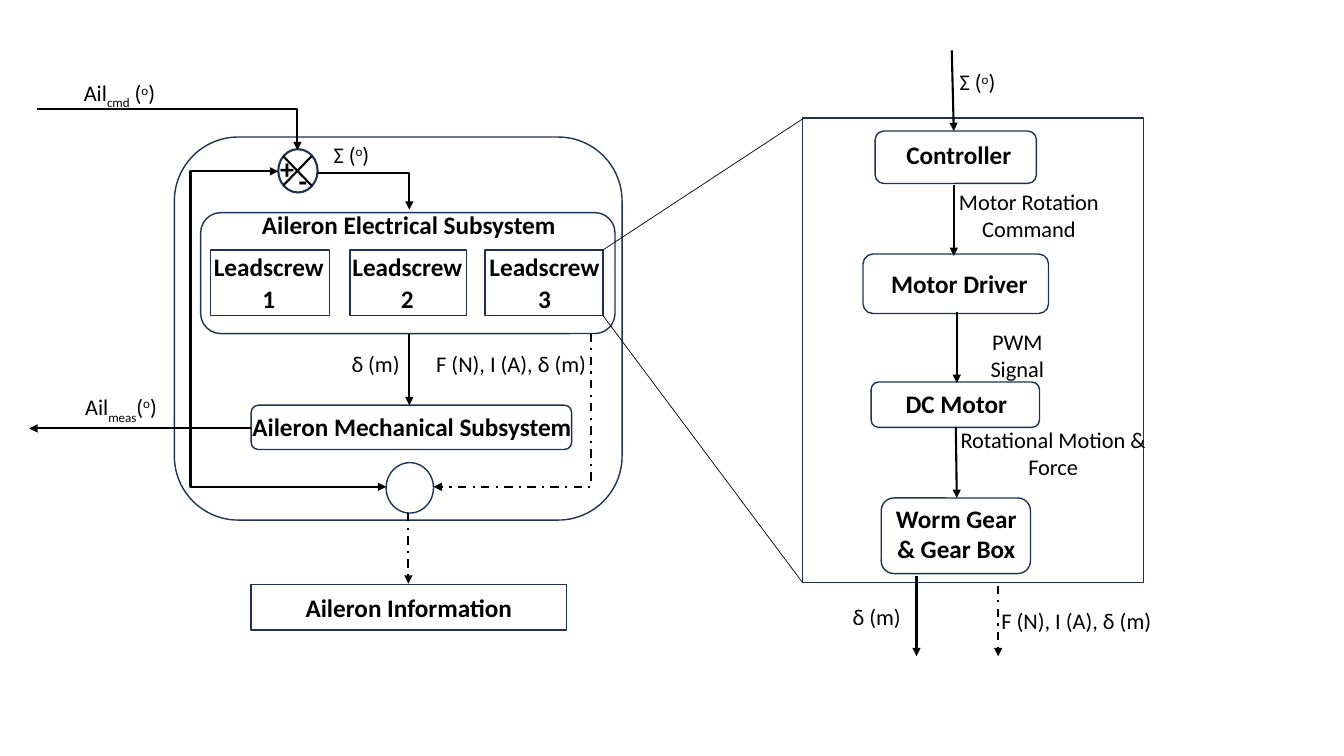
from lxml.etree import SubElement
from pptx import Presentation
from pptx.dml.color import RGBColor
from pptx.enum.dml import MSO_LINE_DASH_STYLE as Dash
from pptx.enum.shapes import MSO_CONNECTOR_TYPE as Link, MSO_SHAPE as Kind
from pptx.enum.text import MSO_ANCHOR as Anchor, PP_ALIGN as Align
from pptx.oxml.ns import qn
from pptx.util import Inches, Pt

COLORS = {"ink": "000000", "border": "1E3256", "paper": "FFFFFF"}
BODY = {"size": Pt(16), "bold": False, "name": "Calibri"}
TITLE = {"size": Pt(18), "bold": True, "name": "Calibri"}
SIGN = {"size": Pt(20), "bold": True, "name": "Calibri"}


class Diagram:
    """Draws boxes, labels and arrows of a block diagram on one slide."""

    def __init__(self, slide, colors):
        self.slide = slide
        self.colors = {name: RGBColor.from_string(value) for name, value in colors.items()}

    def box(self, kind, left, top, width, height, weight=1, fill=None):
        shape = self.slide.shapes.add_shape(kind, *map(Inches, (left, top, width, height)))
        shape.shadow.inherit = False
        if fill:
            shape.fill.solid()
            shape.fill.fore_color.rgb = self.colors[fill]
        else:
            shape.fill.background()
        shape.line.color.rgb = self.colors["border"]
        shape.line.width = Pt(weight)

    def label(self, text, left, top, width, height, style=BODY, align=Align.CENTER,
              spacing=1.0, frame_format=None):
        shape = self.slide.shapes.add_textbox(*map(Inches, (left, top, width, height)))
        frame = shape.text_frame
        for name, value in {"word_wrap": True, **(frame_format or {})}.items():
            setattr(frame, name, value)
        paragraph = frame.paragraphs[0]
        paragraph.alignment = align
        paragraph.line_spacing = spacing
        for part, baseline in [(text, 0)] if isinstance(text, str) else text:
            run = paragraph.add_run()
            run.text = part
            for name, value in style.items():
                setattr(run.font, name, value)
            run.font.color.rgb = self.colors["ink"]
            if baseline:
                run.font._element.set("baseline", str(baseline * 1000))

    def line(self, start, end, weight=1.5, arrow=True, dashed=False, bend=None):
        kind = Link.STRAIGHT if bend is None else Link.ELBOW
        connector = self.slide.shapes.add_connector(kind, *map(Inches, (*start, *end)))
        connector.line.color.rgb = self.colors["ink"]
        connector.line.width = Pt(weight)
        if dashed:
            connector.line.dash_style = Dash.DASH_DOT
        properties = connector._element.spPr
        if arrow:
            SubElement(properties.find(qn("a:ln")), qn("a:tailEnd"), type="triangle")
        SubElement(properties, qn("a:effectLst"))
        if bend is not None:
            adjustments = properties.find(qn("a:prstGeom")).find(qn("a:avLst"))
            SubElement(adjustments, qn("a:gd"), name="adj1", fmla=f"val {bend * 100000}")


def draw_leadscrew_detail(diagram):
    diagram.box(Kind.RECTANGLE, 7.96, 1.17, 3.38, 4.61)
    stages = [
        ("Controller", (8.68, 1.3, 1.6, 0.52), (8.69, 1.31, 1.64, 0.43), 1.07),
        ("Motor Driver", (8.56, 2.52, 1.84, 0.59), (8.67, 2.61, 1.69, 0.45), 1.0),
        ("DC Motor", (8.64, 3.79, 1.67, 0.45), (8.82, 3.8, 1.33, 0.45), 1.0),
        ("Worm Gear & Gear Box", (8.74, 4.94, 1.48, 0.75), (8.68, 4.94, 1.61, 0.82), 1.0),
    ]
    for name, outline, area, spacing in stages:
        diagram.box(Kind.ROUNDED_RECTANGLE, *outline)
        diagram.label(name, *area, style=TITLE, spacing=spacing)

    arrows = [(9.44, 0.5, 9.46, 1.3), (9.46, 1.84, 9.46, 2.54), (9.49, 3.1, 9.49, 3.8),
              (9.48, 4.24, 9.49, 4.94), (9.09, 5.71, 9.09, 6.51)]
    for x1, y1, x2, y2 in arrows:
        diagram.line((x1, y1), (x2, y2))
    diagram.line((9.9, 5.81), (9.9, 6.51), dashed=True)

    diagram.label(ERROR_SIGNAL, 9.42, 0.63, 0.57, 0.37, align=Align.LEFT,
                  frame_format={"word_wrap": False})
    diagram.label("Motor Rotation Command", 9.23, 1.82, 1.95, 0.64)
    diagram.label("PWM Signal", 9.51, 3.21, 1.16, 0.39, frame_format={"word_wrap": False})
    diagram.label("Rotational Motion & Force", 9.32, 4.18, 2.25, 0.59)
    diagram.label(TRAVEL, 8.35, 5.93, 0.69, 0.37, frame_format={"word_wrap": False})
    diagram.label(SENSED, 9.67, 5.97, 2.01, 0.37)


def draw_aileron_loop(diagram):
    diagram.box(Kind.ROUNDED_RECTANGLE, 1.73, 1.36, 4.44, 3.8)
    diagram.box(Kind.ROUNDED_RECTANGLE, 1.99, 2.11, 4.11, 1.2)
    diagram.label("Aileron Electrical Subsystem", 2.49, 2.03, 3.13, 0.4, style=TITLE,
                  frame_format={"word_wrap": False})
    leadscrews = [(2.09, 1.18, 1.99, 1.35), (3.47, 1.16, 3.34, 1.4), (4.81, 1.17, 4.72, 1.36)]
    for number, (left, width, text_left, text_width) in enumerate(leadscrews, 1):
        diagram.box(Kind.RECTANGLE, left, 2.48, width, 0.65)
        diagram.label(f"Leadscrew {number}", text_left, 2.42, text_width, 0.7,
                      style=TITLE, spacing=1.07)

    diagram.box(Kind.ROUNDED_RECTANGLE, 2.49, 4.02, 3.18, 0.44)
    diagram.label("Aileron Mechanical Subsystem", 2.29, 4.01, 3.59, 0.46,
                  style=TITLE, spacing=1.07)
    diagram.box(Kind.RECTANGLE, 2.49, 5.8, 3.13, 0.45)
    diagram.label("Aileron Information", 2.92, 5.81, 2.27, 0.41, style=TITLE,
                  spacing=1.07, frame_format={"word_wrap": False})
    diagram.box(Kind.OVAL, 3.83, 4.59, 0.47, 0.5)

    diagram.box(Kind.OVAL, 2.76, 1.48, 0.39, 0.43, weight=1.5, fill="paper")
    diagram.line((2.81, 1.55), (3.09, 1.84), arrow=False)
    diagram.line((2.81, 1.84), (3.09, 1.55), arrow=False)
    diagram.label("+", 2.68, 1.45, 0.29, 0.37, style=SIGN, align=Align.LEFT,
                  frame_format={"word_wrap": False})
    diagram.label("-", 2.94, 1.88, 0.13, 0.18, style=SIGN, frame_format={
        "word_wrap": False, "vertical_anchor": Anchor.BOTTOM, "margin_left": 0,
        "margin_right": 0, "margin_top": 0, "margin_bottom": Inches(0.1)})

    diagram.line((0.37, 1.08), (2.95, 1.49), bend=1)
    diagram.line((3.15, 1.72), (4.06, 2.08), bend=1)
    diagram.line((1.89, 4.66), (2.76, 1.7), bend=0)
    diagram.line((1.89, 4.66), (3.83, 4.83), bend=0)
    diagram.line((5.86, 3.31), (4.3, 4.83), dashed=True, bend=0)
    diagram.line((4.06, 3.31), (4.06, 4.02))
    diagram.line((4.05, 5.09), (4.05, 5.79), dashed=True)
    diagram.line((2.49, 4.25), (0.29, 4.25))

    diagram.label(ERROR_SIGNAL, 3.21, 1.35, 0.64, 0.39, align=Align.LEFT)
    diagram.label(TRAVEL, 3.29, 3.42, 0.87, 0.4)
    diagram.label(SENSED, 4.1, 3.42, 1.94, 0.37)
    diagram.label([("Ail", 0), ("cmd", -25), (" (", 0), ("o", 30), (")", 0)],
                  0.67, 0.74, 1.03, 0.44)
    diagram.label([("Ail", 0), ("meas", -30), ("(", 0), ("o", 30), (")", 0)],
                  0.69, 3.85, 1.02, 0.44)


ERROR_SIGNAL = [("Σ (", 0), ("o", 30), (")", 0)]
TRAVEL = "δ (m)"
SENSED = "F (N), I (A), δ (m)"


def main():
    presentation = Presentation()
    presentation.slide_width = Inches(13.33)
    presentation.slide_height = Inches(7.5)
    slide = presentation.slides.add_slide(presentation.slide_layouts[6])
    diagram = Diagram(slide, COLORS)
    draw_leadscrew_detail(diagram)
    draw_aileron_loop(diagram)
    diagram.line((5.98, 2.48), (7.96, 1.18), weight=0.5, arrow=False)
    diagram.line((5.98, 3.13), (7.96, 5.78), weight=0.5, arrow=False)
    presentation.save("out.pptx")


if __name__ == "__main__":
    main()
